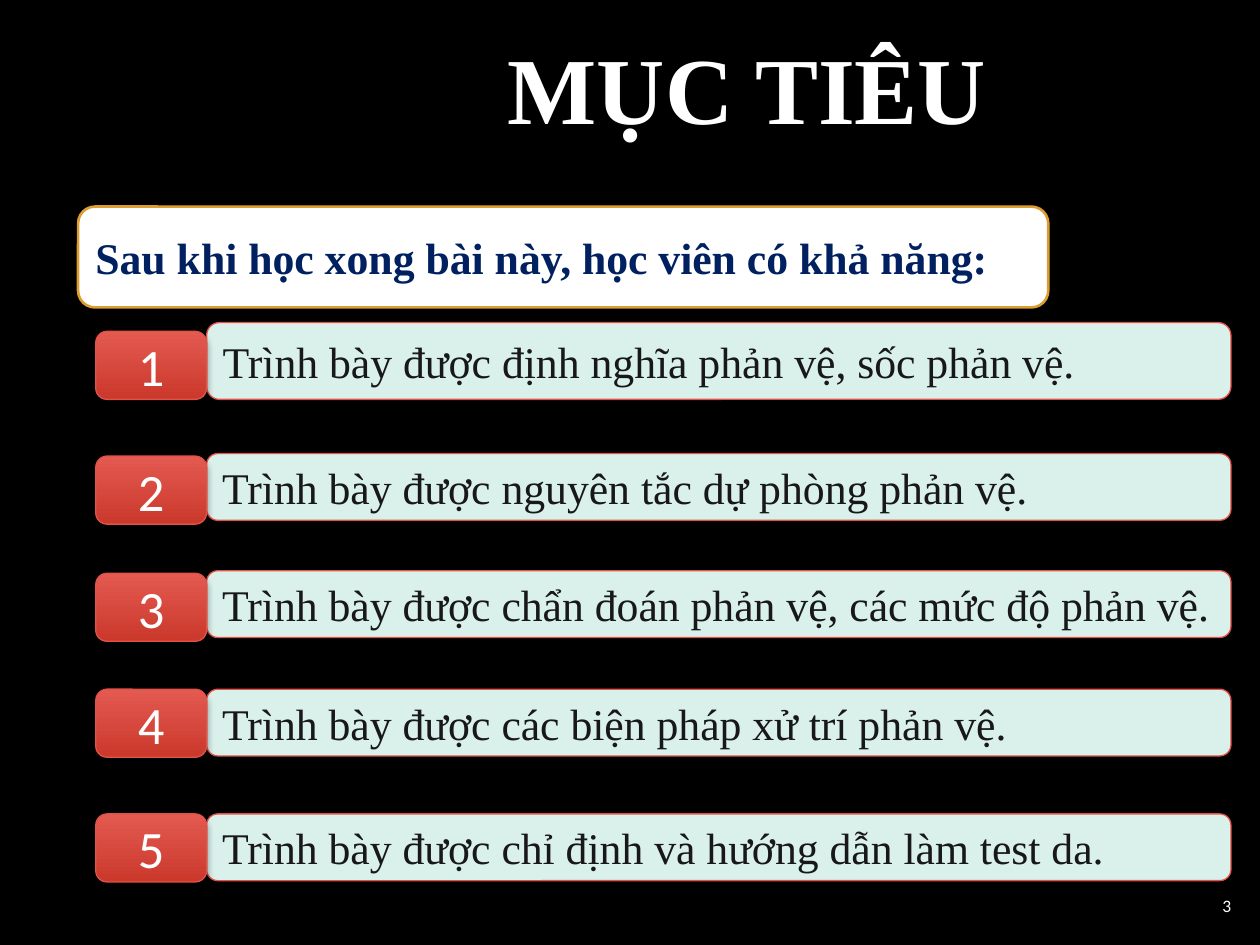
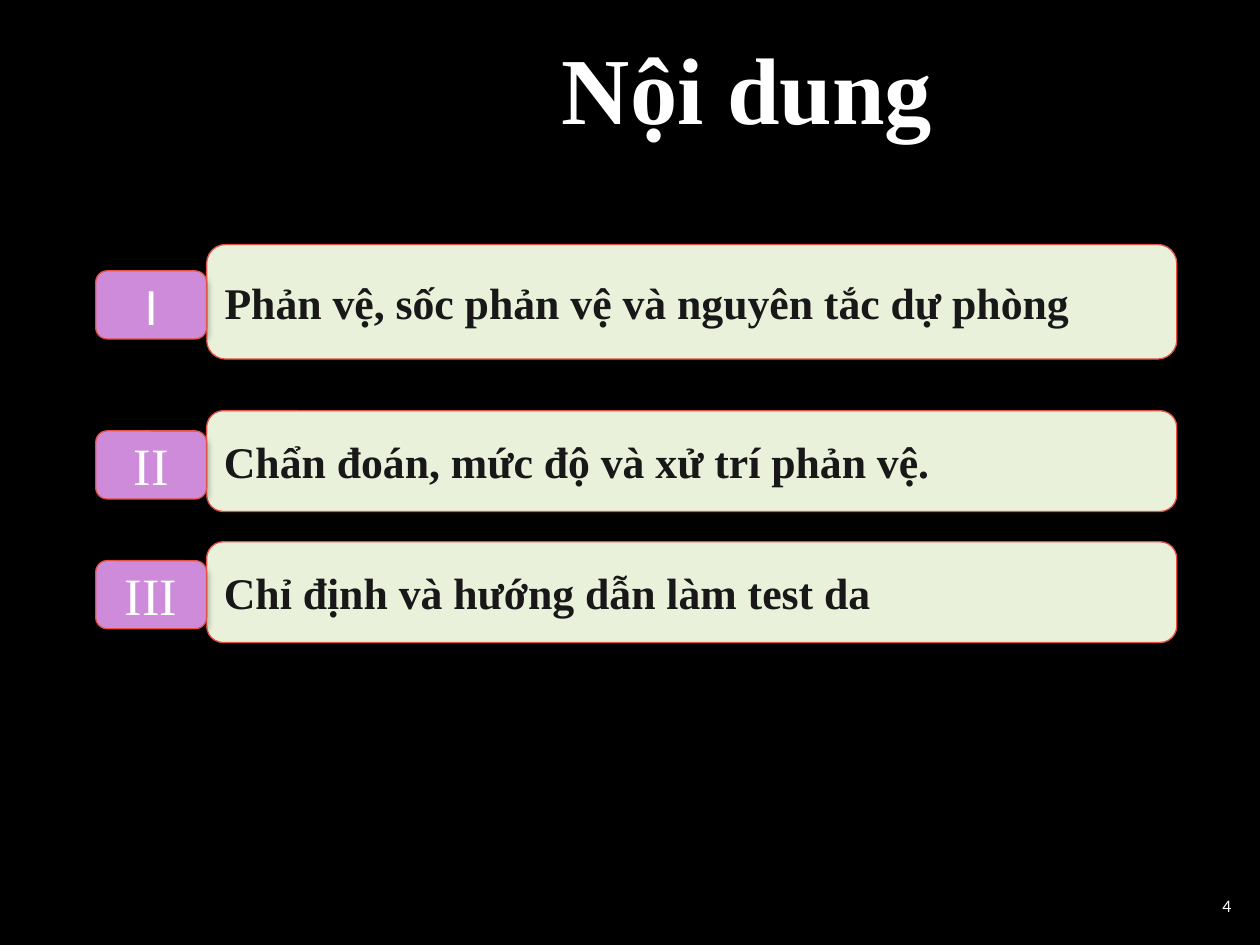
from dataclasses import dataclass

from lxml.etree import SubElement
from pptx import Presentation
from pptx.dml.color import RGBColor
from pptx.enum.shapes import MSO_SHAPE
from pptx.enum.text import MSO_ANCHOR, MSO_AUTO_SIZE, PP_ALIGN
from pptx.oxml.ns import qn
from pptx.util import Inches, Pt


@dataclass(frozen=True)
class Theme:
    background: str = "000000"
    light: str = "FFFFFF"
    dark: str = "181818"
    navy: str = "002060"
    gold: str = "DD9D31"
    red: str = "E25247"
    red_gradient: tuple[str, ...] = ("E35A51", "CB382C")
    mint: str = "D9F0EB"
    sage: str = "E9F1DB"
    violet: str = "CD8BDA"
    serif: str = "Times New Roman"
    sans: str = "Calibri"
    title_size: int = 54
    label_size: int = 30
    body_size: int = 25
    number_size: int = 10


THEME = Theme()


@dataclass(frozen=True)
class Box:
    left: float
    top: float
    width: float
    height: float

    def lengths(self):
        return [Inches(v) for v in (self.left, self.top, self.width, self.height)]


@dataclass(frozen=True)
class TextStyle:
    size: int
    font: str
    color: str
    bold: bool = False
    align: PP_ALIGN = PP_ALIGN.LEFT


@dataclass(frozen=True)
class Item:
    """A label badge and the bar of text to its right."""
    label: str
    text: str
    bar_top: float
    bar_height: float
    label_top: float
    label_font: str = THEME.sans


@dataclass(frozen=True)
class ListStyle:
    bar_width: float
    bar_fill: str
    label_fill: tuple[str, ...]
    bold: bool


LABEL_LEFT, LABEL_WIDTH, LABEL_HEIGHT = 0.76, 0.88, 0.54
BAR_LEFT = LABEL_LEFT + LABEL_WIDTH
TITLE_CENTER = 5.93
TITLE = TextStyle(THEME.title_size, THEME.serif, THEME.light, True, PP_ALIGN.CENTER)
INTRO = TextStyle(THEME.body_size, THEME.serif, THEME.navy, True)
NUMBER = TextStyle(THEME.number_size, THEME.sans, THEME.light, align=PP_ALIGN.RIGHT)

OBJECTIVES_STYLE = ListStyle(8.13, THEME.mint, THEME.red_gradient, False)
OBJECTIVES = [
    Item("1", "Trình bày được định nghĩa phản vệ, sốc phản vệ.", 2.56, 0.61, 2.63),
    Item("2", "Trình bày được nguyên tắc dự phòng phản vệ.", 3.6, 0.53, 3.62),
    Item("3", "Trình bày được chẩn đoán phản vệ, các mức độ phản vệ.", 4.53, 0.53, 4.55),
    Item("4", "Trình bày được các biện pháp xử trí phản vệ.", 5.47, 0.53, 5.47),
    Item("5", "Trình bày được chỉ định và hướng dẫn làm test da.", 6.46, 0.53, 6.46),
]
CONTENTS_STYLE = ListStyle(7.7, THEME.sage, (THEME.violet,), True)
CONTENTS = [
    Item("I", "Phản vệ, sốc phản vệ và nguyên tắc dự phòng", 1.94, 0.91, 2.15),
    Item("II", "Chẩn đoán, mức độ và xử trí phản vệ.", 3.26, 0.8, 3.42, THEME.serif),
    Item("III", "Chỉ định và hướng dẫn làm test da", 4.3, 0.8, 4.45, THEME.serif),
]


def rgb(value: str) -> RGBColor:
    return RGBColor.from_string(value)


def write(sp, text: str, style: TextStyle, anchor=MSO_ANCHOR.MIDDLE, wrap: bool = True) -> None:
    tf = sp.text_frame
    tf.word_wrap = wrap
    tf.vertical_anchor = anchor
    p = tf.paragraphs[0]
    p.alignment = style.align
    r = p.add_run()
    r.text = text
    r.font.size = Pt(style.size)
    r.font.name = style.font
    r.font.bold = style.bold
    r.font.color.rgb = rgb(style.color)


def paint(sp, colors: tuple[str, ...]) -> None:
    """Fill with one colour, or with a gradient from top to bottom."""
    if len(colors) == 1:
        sp.fill.solid()
        sp.fill.fore_color.rgb = rgb(colors[0])
        return
    sp.fill.gradient()
    sp.fill.gradient_angle = 270
    for position, (stop, color) in enumerate(zip(sp.fill.gradient_stops, colors)):
        stop.position = position
        stop.color.rgb = rgb(color)


def add_panel(s, box: Box, fill: tuple[str, ...], text: str, style: TextStyle,
              line: str = THEME.red, line_width: float = 0.75):
    sp = s.shapes.add_shape(MSO_SHAPE.ROUNDED_RECTANGLE, *box.lengths())
    sp.shadow.inherit = False
    paint(sp, fill)
    sp.line.color.rgb = rgb(line)
    sp.line.width = Pt(line_width)
    write(sp, text, style)
    return sp


def add_drop_shadow(sp) -> None:
    effects = sp._element.spPr.find(qn("a:effectLst"))
    shadow = SubElement(effects, qn("a:outerShdw"), blurRad=str(Pt(4)), dist=str(Pt(3)),
                        dir="5400000", rotWithShape="0")
    color = SubElement(shadow, qn("a:srgbClr"), val="000000")
    SubElement(color, qn("a:alpha"), val="35000")


def add_items(s, items: list[Item], look: ListStyle) -> None:
    body = TextStyle(THEME.body_size, THEME.serif, THEME.dark, look.bold)
    for item in items:
        bar = Box(BAR_LEFT, item.bar_top, look.bar_width, item.bar_height)
        add_panel(s, bar, (look.bar_fill,), item.text, body)
    for item in items:
        badge = Box(LABEL_LEFT, item.label_top, LABEL_WIDTH, LABEL_HEIGHT)
        label = TextStyle(THEME.label_size, item.label_font, THEME.light, align=PP_ALIGN.CENTER)
        add_drop_shadow(add_panel(s, badge, look.label_fill, item.label, label))


def add_base_slide(prs, title: str, title_width: float, number: int):
    """Add a slide with its background, title and slide number."""
    s = prs.slides.add_slide(prs.slide_layouts[6])
    s.background.fill.solid()
    s.background.fill.fore_color.rgb = rgb(THEME.background)
    write(s.shapes.add_textbox(*Box(6.87, 6.99, 3, 0.4).lengths()), str(number), NUMBER)
    title_box = Box(TITLE_CENTER - title_width / 2, 0.19, title_width, 1.01)
    sp = s.shapes.add_textbox(*title_box.lengths())
    write(sp, title, TITLE, MSO_ANCHOR.TOP, wrap=False)
    sp.text_frame.auto_size = MSO_AUTO_SIZE.SHAPE_TO_FIT_TEXT
    return s


def main() -> None:
    prs = Presentation()
    prs.slide_width, prs.slide_height = Inches(10), Inches(7.5)

    s = add_base_slide(prs, "MỤC TIÊU", 4.04, 3)
    add_panel(s, Box(0.62, 1.64, 7.7, 0.8), (THEME.light,),
              "Sau khi học xong bài này, học viên có khả năng:", INTRO, THEME.gold, 1.5)
    add_items(s, OBJECTIVES, OBJECTIVES_STYLE)

    s = add_base_slide(prs, "Nội dung", 3.17, 4)
    add_items(s, CONTENTS, CONTENTS_STYLE)

    prs.save("out.pptx")


if __name__ == "__main__":
    main()
